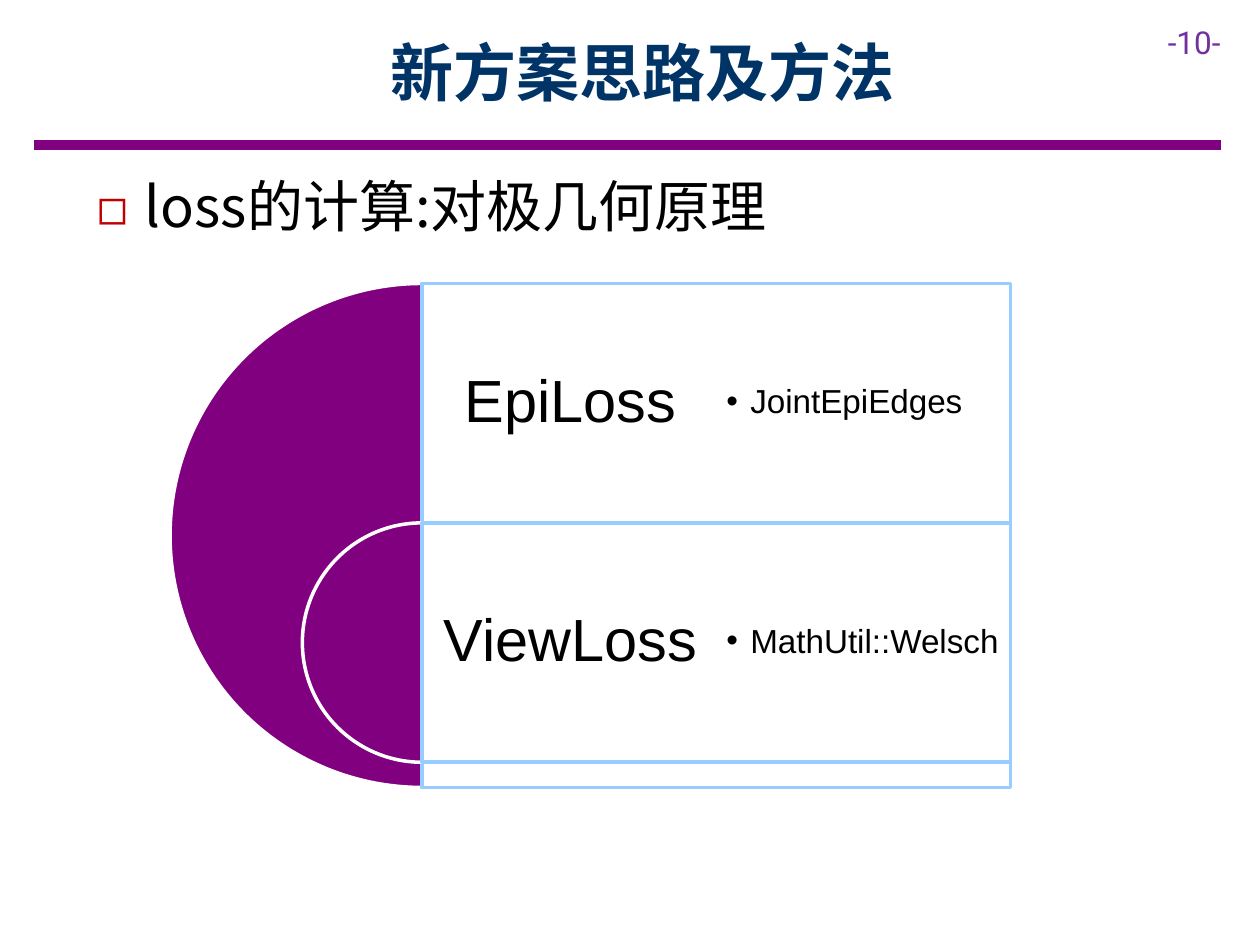
from lxml.etree import SubElement
from pptx import Presentation
from pptx.dml.color import RGBColor
from pptx.enum.shapes import MSO_CONNECTOR, MSO_SHAPE
from pptx.enum.text import MSO_ANCHOR, PP_ALIGN
from pptx.oxml.ns import qn
from pptx.util import Inches, Pt

PURPLE = "800080"
BLACK = "000000"
CJK = "Noto Sans CJK SC"


def paint(target, color):
    """Give a fill, line fill or font colour a solid hex colour."""
    if hasattr(target, "solid"):
        target.solid()
        target = target.fore_color
    target.rgb = RGBColor.from_string(color)


def write(shapes, box, text, font, size, color=BLACK, bold=False, align=PP_ALIGN.LEFT,
          anchor=MSO_ANCHOR.MIDDLE, inset=None, bullet=None, hang=0, tint=None):
    """Add a one-line text box, with an optional hanging bullet."""
    shape = shapes.add_textbox(*[Inches(v) for v in box])
    frame = shape.text_frame
    frame.word_wrap = True
    frame.vertical_anchor = anchor
    if inset:
        frame.margin_left = frame.margin_top = frame.margin_bottom = Inches(inset)
        frame.margin_right = Inches(inset - 0.02)
    para = frame.paragraphs[0]
    para.alignment = align
    if bullet:
        props = para._p.get_or_add_pPr()
        props.set("marL", str(Inches(hang)))
        props.set("indent", str(-Inches(hang)))
        if tint:
            SubElement(SubElement(props, qn("a:buClr")), qn("a:srgbClr"), val=tint)
            SubElement(props, qn("a:buSzPct"), val="90000")
        SubElement(props, qn("a:buFont"), typeface=font)
        SubElement(props, qn("a:buChar"), char=bullet)
    run = para.add_run()
    run.text = text
    run.font.name = font
    run.font.size = Pt(size)
    run.font.bold = bold
    paint(run.font.color, color)
    if font == CJK:
        SubElement(run.font._element, qn("a:ea"), typeface=font)
    return para


deck = Presentation()
deck.slide_width, deck.slide_height = Inches(10), Inches(7.5)
slide = deck.slides.add_slide(deck.slide_layouts[6])
shapes = slide.shapes

# Header
rule = shapes.add_connector(MSO_CONNECTOR.STRAIGHT, Inches(0.27), Inches(1.15),
                            Inches(9.69), Inches(1.15))
paint(rule.line.fill, PURPLE)
rule.line.width = Pt(6)
SubElement(rule._element.spPr, qn("a:effectLst"))
write(shapes, (9.17, 0.13, 0.83, 0.4), "-10-", "Roboto", 18, "7030A0",
      anchor=MSO_ANCHOR.TOP)
write(shapes, (0.67, 1.31, 8.67, 0.8), "loss的计算:对极几何原理", CJK, 32,
      anchor=MSO_ANCHOR.TOP, bullet="◻", hang=0.38, tint="C00000")
write(shapes, (0.94, 0.07, 8.31, 1), "新方案思路及方法", CJK, 36, "003366", True,
      PP_ALIGN.CENTER)

# Nested half discs, each with a panel to the right of its centre
left, top, width, row = 3.35, 2.25, 4.67, 1.9
half = width / 2
parts = shapes.add_group_shape().shapes
items = [("EpiLoss", "JointEpiEdges", 4), ("ViewLoss", "MathUtil::Welsch", row)]
for i, (name, detail, size) in enumerate(items):
    y = top + i * row
    disc = parts.add_shape(MSO_SHAPE.PIE, Inches(left - size / 2), Inches(y),
                           Inches(size), Inches(size))
    disc.adjustments[0], disc.adjustments[1] = 54, 162
    panel = parts.add_shape(MSO_SHAPE.RECTANGLE, Inches(left), Inches(y),
                            Inches(width), Inches(size))
    for shape, fill, edge in [(disc, PURPLE, "FFFFFF"), (panel, "FFFFFF", "99CCFF")]:
        shape.shadow.inherit = False
        paint(shape.fill, fill)
        paint(shape.line.fill, edge)
        shape.line.width = Pt(2)
    tone = panel._element.spPr.find(qn("a:solidFill"))[0]
    SubElement(tone, qn("a:alpha"), val="90000")
    label = write(parts, (left, y, half, row), name, "Arial", 34,
                  align=PP_ALIGN.CENTER, inset=0.14)
    note = write(parts, (left + half, y, half, row), detail, "Arial", 19,
                 inset=0.08, bullet="•", hang=0.19)
    label.line_spacing = note.line_spacing = 0.9

deck.save("out.pptx")
